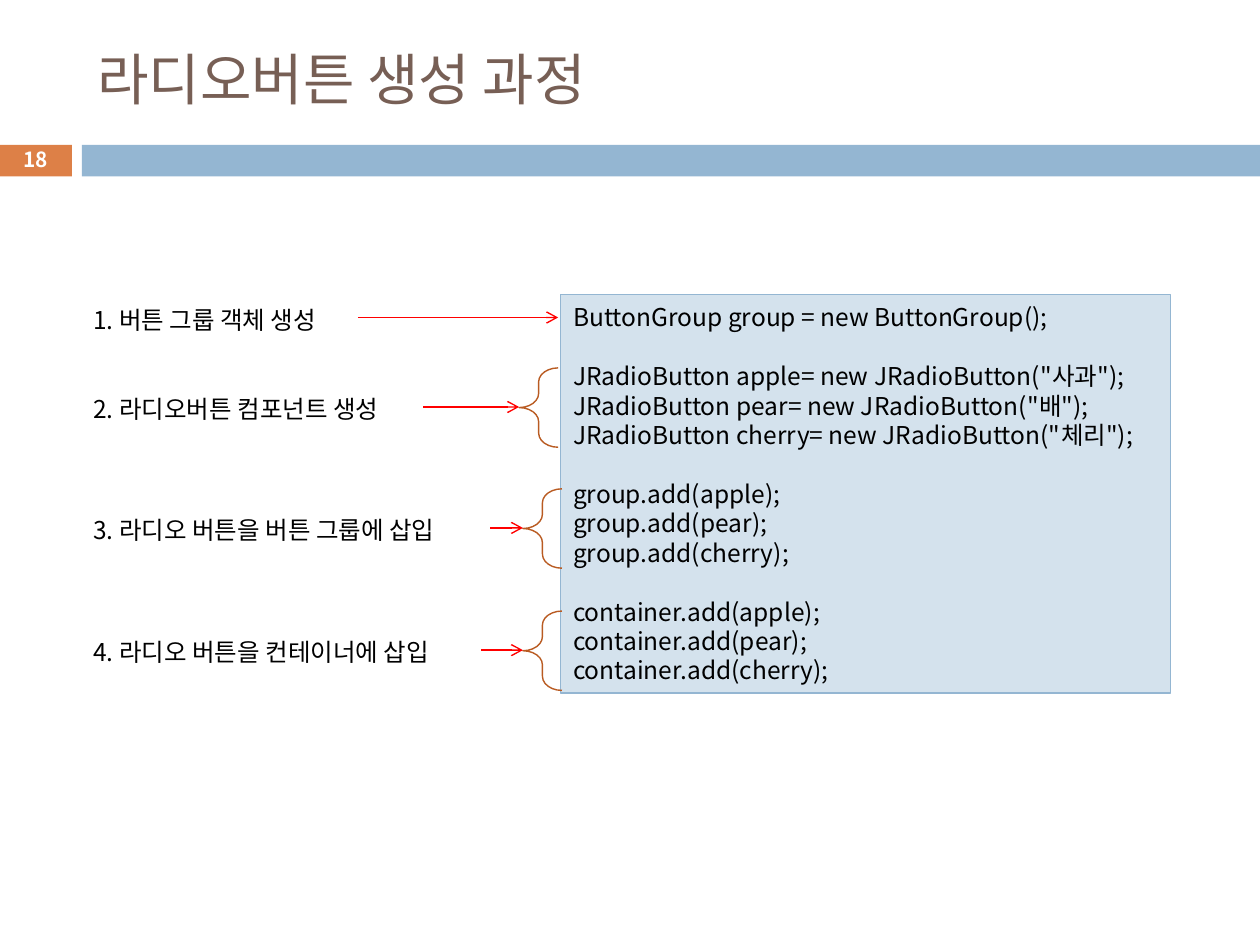
"""Build the slide that maps radio button creation steps to their code."""
from lxml import etree
from pptx import Presentation
from pptx.dml.color import RGBColor
from pptx.enum.shapes import MSO_CONNECTOR, MSO_SHAPE
from pptx.enum.text import MSO_ANCHOR, PP_ALIGN
from pptx.oxml.ns import qn
from pptx.util import Inches, Pt

RECT, BRACE = MSO_SHAPE.RECTANGLE, MSO_SHAPE.LEFT_BRACE
STRAIGHT = MSO_CONNECTOR.STRAIGHT
TOP, MIDDLE = MSO_ANCHOR.TOP, MSO_ANCHOR.MIDDLE
LEFT, CENTER = PP_ALIGN.LEFT, PP_ALIGN.CENTER
FONT = "Noto Sans CJK KR"
LINE = Pt(16.8)


def rgb(value):
    return RGBColor.from_string(value)


def write(p, text, size, color, align=LEFT, bold=False):
    p.text = text
    p.alignment = align
    p.font.size = Pt(size)
    p.font.bold = bold
    p.font.name = FONT
    p.font.color.rgb = rgb(color)
    props = p._p.pPr.find(qn("a:defRPr"))
    etree.SubElement(props, qn("a:ea")).set("typeface", FONT)


prs = Presentation()
prs.slide_width, prs.slide_height = Inches(10), Inches(7.5)
slide = prs.slides.add_slide(prs.slide_layouts[5])
shapes = slide.shapes

title = shapes.title
title.left, title.top = Inches(0.67), Inches(0.25)
title.width, title.height = Inches(8.92), Inches(0.74)
title.text_frame.vertical_anchor = MIDDLE
write(title.text_frame.paragraphs[0], "라디오버튼 생성 과정", 32, "775F55")

for x, w, color in [(-0.01, 0.58, "DD8047"), (0.65, 9.35, "94B6D2")]:
    s = shapes.add_shape(RECT, Inches(x), Inches(1.15), Inches(w), Inches(0.25))
    s.shadow.inherit = False
    s.fill.solid()
    s.fill.fore_color.rgb = rgb(color)
    s.line.fill.background()

code = [
    ["ButtonGroup group = new ButtonGroup();"],
    ['JRadioButton apple= new JRadioButton("사과");',
     'JRadioButton pear= new JRadioButton("배");',
     'JRadioButton cherry= new JRadioButton("체리");'],
    ["group.add(apple);", "group.add(pear);", "group.add(cherry);"],
    ["container.add(apple);", "container.add(pear);", "container.add(cherry);"],
]
s = shapes.add_shape(RECT, Inches(4.45), Inches(2.34), Inches(4.84), Inches(3.16))
s.shadow.inherit = False
s.fill.solid()
s.fill.fore_color.rgb = rgb("D4E2ED")
s.line.color.rgb = rgb("94B6D2")
s.line.width = Pt(0.75)
tf = s.text_frame
tf.word_wrap = True
tf.vertical_anchor = TOP
tf.margin_top = Inches(0.06)
p = tf.paragraphs[0]
for i, block in enumerate(code):
    for j, line in enumerate(block):
        if i or j:
            p = tf.add_paragraph()
        p.line_spacing = LINE
        if i and j == 0:
            p.space_before = LINE
        write(p, line, 14, "000000")

steps = [
    ("1. 버튼 그룹 객체 생성", 2.36, 2.2, 4.43, False),
    ("2. 라디오버튼 컴포넌트 생성", 3.07, 2.72, 4.12, True),
    ("3. 라디오 버튼을 버튼 그룹에 삽입", 4.03, 3.25, 4.15, True),
    ("4. 라디오 버튼을 컨테이너에 삽입", 5, 3.18, 4.15, True),
]
for text, top, width, tip, braced in steps:
    s = shapes.add_textbox(Inches(0.64), Inches(top), Inches(width), Inches(0.34))
    tf = s.text_frame
    tf.word_wrap = False
    tf.margin_top = Inches(0.06)
    p = tf.paragraphs[0]
    p.line_spacing = LINE
    write(p, text, 14, "000000")

    y = top + 0.16
    if braced:
        s = shapes.add_shape(BRACE, Inches(tip), Inches(y - 0.31), Inches(0.31), Inches(0.63))
        s.shadow.inherit = False
        s.adjustments[0] = 0.36
        s.fill.background()
        s.line.color.rgb = rgb("B95B22")
        s.line.width = Pt(0.79)

    s = shapes.add_connector(STRAIGHT, Inches(0.64 + width), Inches(y), Inches(tip), Inches(y))
    s.line.color.rgb = rgb("FF0000")
    s.line.width = Pt(0.79)
    etree.SubElement(s.line._get_or_add_ln(), qn("a:tailEnd")).set("type", "arrow")
    etree.SubElement(s._element.spPr, qn("a:effectLst"))

s = shapes.add_textbox(Inches(-0.01), Inches(1.13), Inches(0.58), Inches(0.27))
tf = s.text_frame
tf.word_wrap = True
tf.vertical_anchor = MIDDLE
tf.margin_top = tf.margin_bottom = 0
write(tf.paragraphs[0], "18", 11.9, "FFFFFF", CENTER, True)

prs.save("out.pptx")
